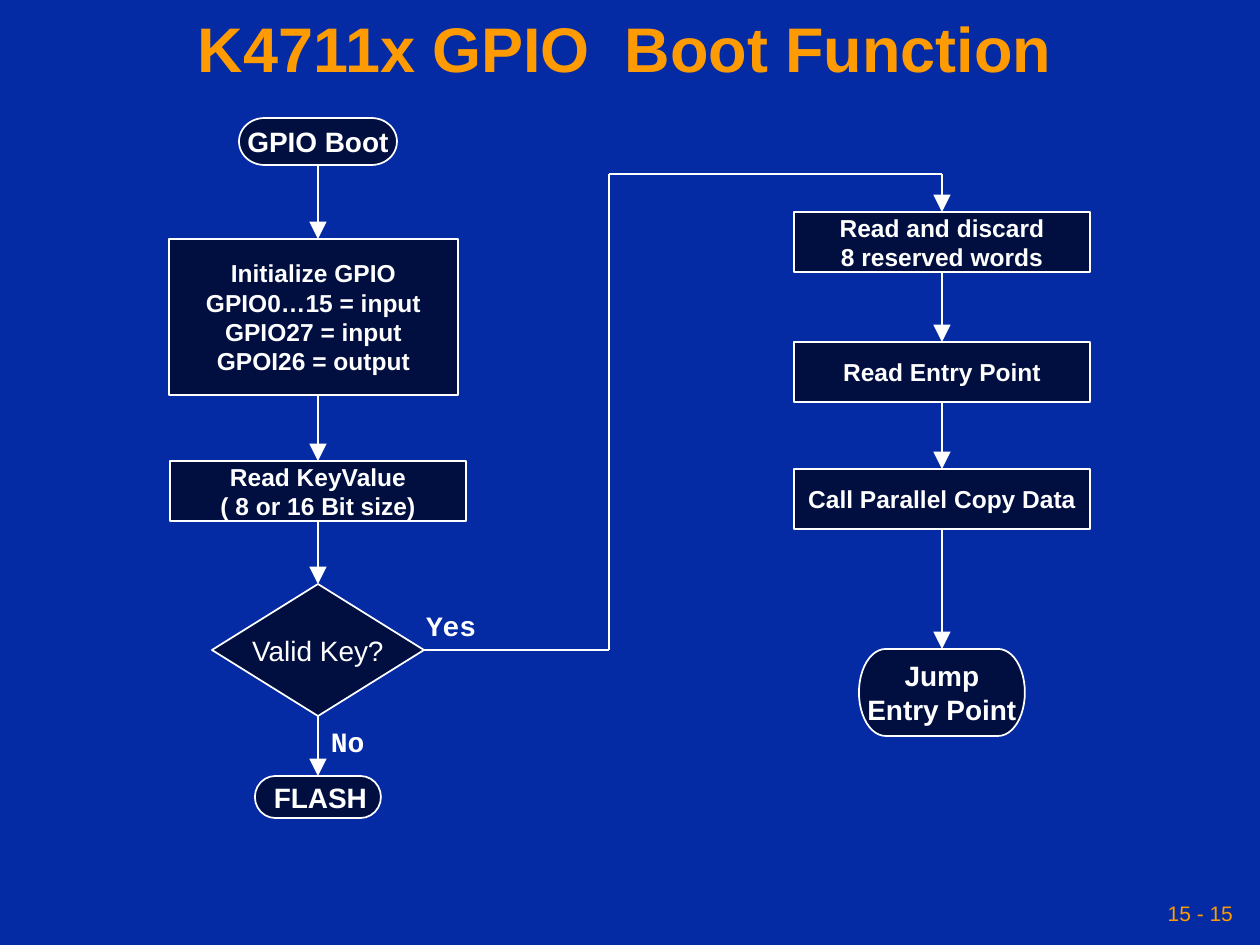
from dataclasses import dataclass
from typing import Optional

import lxml.etree
import pptx
import pptx.dml.color
import pptx.enum.shapes
import pptx.enum.text
import pptx.oxml.ns
import pptx.util

EMU_PER_PX = 914400 / 126
SHAPE = pptx.enum.shapes.MSO_SHAPE
ALIGN = pptx.enum.text.PP_ALIGN
ANCHOR = pptx.enum.text.MSO_ANCHOR
TOP, LEFT, BOTTOM, RIGHT = range(4)


@dataclass(frozen=True)
class Theme:
    background: str = "042AA4"
    accent: str = "FE9B03"
    box: str = "000F40"
    ink: str = "FFFFFF"
    sans: str = "Arial"
    mono: str = "Courier New"
    title: int = 36
    large: int = 16
    body: int = 14
    small: int = 12
    line: int = 1


THEME = Theme()


@dataclass(frozen=True)
class TextStyle:
    size: int
    color: str = THEME.ink
    font: str = THEME.sans
    bold: bool = True
    align: ALIGN = ALIGN.CENTER
    anchor: ANCHOR = ANCHOR.MIDDLE
    spacing: float = 1.0
    side_inset: int = 13
    wrap: bool = False


@dataclass(frozen=True)
class Node:
    name: str
    kind: SHAPE
    x: int
    y: int
    width: int
    height: int
    lines: tuple[str, ...]
    style: TextStyle


@dataclass(frozen=True)
class Label:
    text: str
    x: int
    y: int
    width: int
    height: int
    style: TextStyle


@dataclass(frozen=True)
class Link:
    """A straight line; a named node joins that end to one of its sides."""
    start: tuple[int, int]
    end: tuple[int, int]
    source: Optional[tuple[str, int]] = None
    target: Optional[tuple[str, int]] = None
    arrow: bool = True


TERMINAL = TextStyle(THEME.large)
STEP = TextStyle(THEME.body)
QUESTION = TextStyle(THEME.large, bold=False)
EXIT = TextStyle(THEME.large, align=ALIGN.LEFT)
BRANCH = TextStyle(THEME.large, font=THEME.mono, align=ALIGN.LEFT, anchor=ANCHOR.TOP)
HEADING = TextStyle(THEME.title, THEME.accent, spacing=0.9, side_inset=6, wrap=True)
PAGE = TextStyle(THEME.small, THEME.accent, bold=False, align=ALIGN.RIGHT,
                 side_inset=6, wrap=True)

LEFT_AXIS, RIGHT_AXIS = 318, 942
BEND_X, BEND_Y, BRANCH_Y = 609, 174, 650
STEP_WIDTH, STEP_HEIGHT = 296, 60


def centered(name: str, kind: SHAPE, axis: int, y: int, width: int, height: int,
             style: TextStyle, *lines: str) -> Node:
    return Node(name, kind, axis - width // 2, y, width, height, lines, style)


def step(name: str, axis: int, y: int, *lines: str) -> Node:
    return centered(name, SHAPE.FLOWCHART_PROCESS, axis, y, STEP_WIDTH, STEP_HEIGHT, STEP, *lines)


NODES = (
    centered("boot", SHAPE.FLOWCHART_TERMINATOR, LEFT_AXIS, 118, 158, 47, TERMINAL, "GPIO Boot"),
    Node("initialize", SHAPE.FLOWCHART_PROCESS, 169, 239, 289, 156,
         ("Initialize GPIO", "GPIO0…15 = input", "GPIO27 = input", "GPOI26 = output"), STEP),
    step("key", LEFT_AXIS, 461, "Read KeyValue", "( 8 or 16 Bit size)"),
    centered("valid", SHAPE.FLOWCHART_DECISION, LEFT_AXIS, 584, 212, 132, QUESTION, "Valid Key?"),
    centered("flash", SHAPE.FLOWCHART_TERMINATOR, LEFT_AXIS, 776, 126, 42, EXIT, "FLASH"),
    step("discard", RIGHT_AXIS, 212, "Read and discard", "8 reserved words"),
    step("entry", RIGHT_AXIS, 342, "Read Entry Point"),
    step("copy", RIGHT_AXIS, 469, "Call Parallel Copy Data"),
    centered("jump", SHAPE.FLOWCHART_TERMINATOR, RIGHT_AXIS, 649, 166, 87, TERMINAL,
             "Jump", "Entry Point"),
)


def down(axis: int, top: int, bottom: int, source: Optional[str] = None,
         target: Optional[str] = None) -> Link:
    return Link((axis, top), (axis, bottom),
                (source, BOTTOM) if source else None, (target, TOP) if target else None)


LINKS = (
    down(LEFT_AXIS, 165, 239, source="boot"),
    down(LEFT_AXIS, 395, 461, target="key"),
    down(LEFT_AXIS, 521, 584, "key", "valid"),
    down(LEFT_AXIS, 716, 776, "valid", "flash"),
    Link((424, BRANCH_Y), (BEND_X, BRANCH_Y), source=("valid", RIGHT), arrow=False),
    Link((BEND_X, BRANCH_Y), (BEND_X, BEND_Y), arrow=False),
    Link((BEND_X, BEND_Y), (RIGHT_AXIS, BEND_Y), arrow=False),
    down(RIGHT_AXIS, BEND_Y, 212, target="discard"),
    down(RIGHT_AXIS, 272, 342, "discard", "entry"),
    down(RIGHT_AXIS, 402, 469, "entry", "copy"),
    down(RIGHT_AXIS, 529, 649, "copy", "jump"),
)

LABELS = (
    Label("K4711x GPIO  Boot Function", 0, 0, 1250, 105, HEADING),
    Label("No", 318, 719, 64, 46, BRANCH),
    Label("Yes", 413, 602, 82, 46, BRANCH),
    Label("15 - 15", 861, 892, 378, 42, PAGE),
)


def px(length: int) -> pptx.util.Emu:
    return pptx.util.Emu(round(length * EMU_PER_PX))


def rgb(color: str) -> pptx.dml.color.RGBColor:
    return pptx.dml.color.RGBColor.from_string(color)


def write_text(frame, lines: tuple[str, ...], style: TextStyle) -> None:
    frame.word_wrap = style.wrap
    frame.vertical_anchor = style.anchor
    frame.margin_left = frame.margin_right = px(style.side_inset)
    frame.margin_top = frame.margin_bottom = px(6)
    for index, line in enumerate(lines):
        paragraph = frame.add_paragraph() if index else frame.paragraphs[0]
        paragraph.alignment = style.align
        paragraph.line_spacing = style.spacing
        run = paragraph.add_run()
        run.text = line
        run.font.name = style.font
        run.font.size = pptx.util.Pt(style.size)
        run.font.bold = style.bold
        run.font.color.rgb = rgb(style.color)


def draw_node(slide, node: Node):
    shape = slide.shapes.add_shape(node.kind, *map(px, (node.x, node.y, node.width, node.height)))
    shape.shadow.inherit = False
    shape.fill.solid()
    shape.fill.fore_color.rgb = rgb(THEME.box)
    shape.line.color.rgb = rgb(THEME.ink)
    shape.line.width = pptx.util.Pt(THEME.line)
    write_text(shape.text_frame, node.lines, node.style)
    return shape


def draw_label(slide, label: Label) -> None:
    box = slide.shapes.add_textbox(*map(px, (label.x, label.y, label.width, label.height)))
    write_text(box.text_frame, (label.text,), label.style)


def draw_link(slide, link: Link, shapes: dict) -> None:
    connector = slide.shapes.add_connector(
        pptx.enum.shapes.MSO_CONNECTOR.STRAIGHT, *map(px, link.start + link.end))
    if link.source:
        connector.begin_connect(shapes[link.source[0]], link.source[1])
    if link.target:
        connector.end_connect(shapes[link.target[0]], link.target[1])
    connector.line.color.rgb = rgb(THEME.ink)
    connector.line.width = pptx.util.Pt(THEME.line)
    if link.arrow:
        lxml.etree.SubElement(connector.line._get_or_add_ln(), pptx.oxml.ns.qn("a:tailEnd"),
                              type="triangle", w="lg", len="lg")
    lxml.etree.SubElement(connector._element.spPr, pptx.oxml.ns.qn("a:effectLst"))


def main() -> None:
    presentation = pptx.Presentation()
    presentation.slide_width, presentation.slide_height = px(1260), px(945)
    slide = presentation.slides.add_slide(presentation.slide_layouts[6])
    slide.background.fill.solid()
    slide.background.fill.fore_color.rgb = rgb(THEME.background)
    shapes = {node.name: draw_node(slide, node) for node in NODES}
    for link in LINKS:
        draw_link(slide, link, shapes)
    for label in LABELS:
        draw_label(slide, label)
    presentation.save("out.pptx")


if __name__ == "__main__":
    main()
